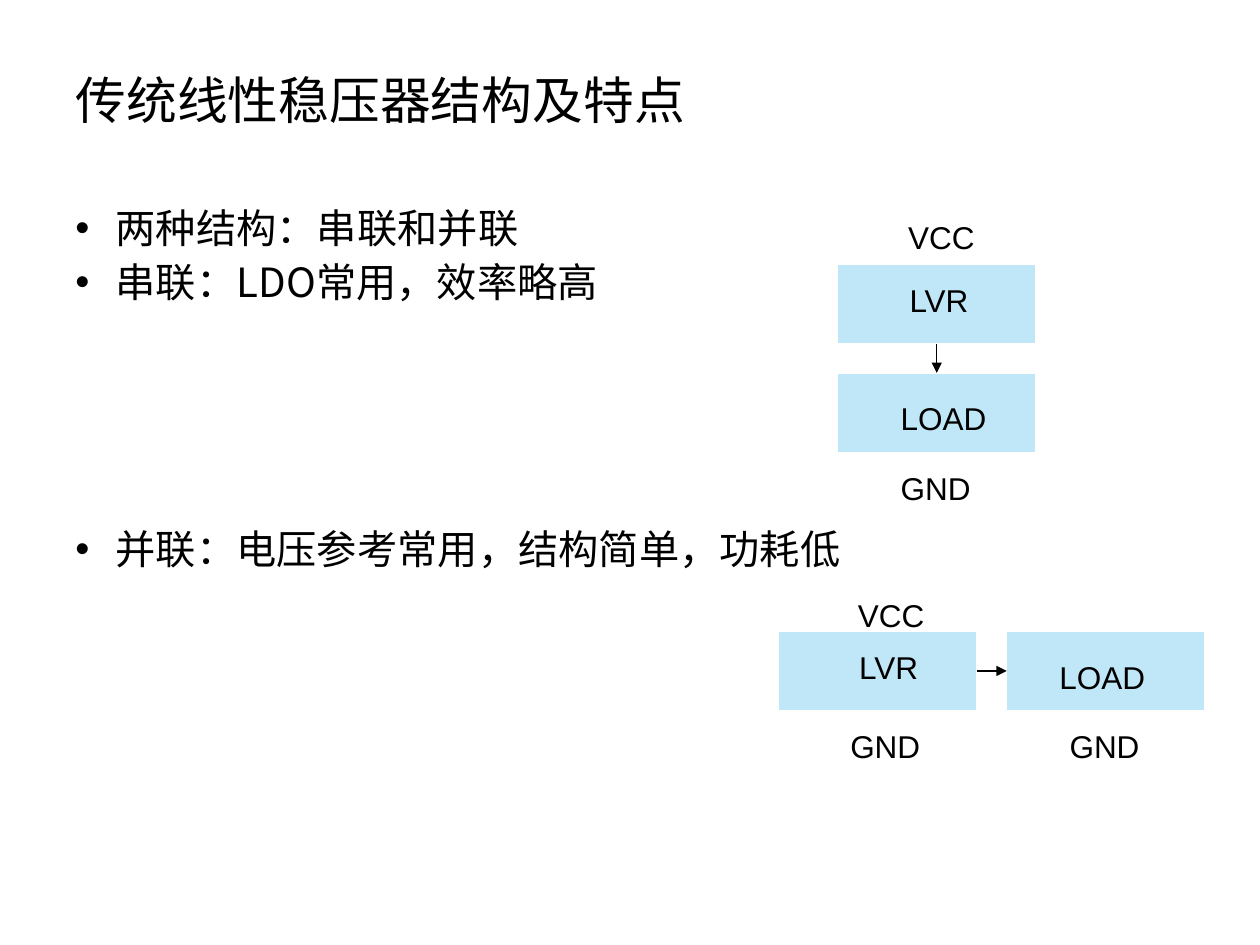
from lxml import etree
from pptx import Presentation
from pptx import util as u
from pptx.dml.color import RGBColor
from pptx.enum import shapes, text
from pptx.oxml.ns import qn

BLACK = RGBColor(0x00, 0x00, 0x00)
WHITE = RGBColor(0xFF, 0xFF, 0xFF)
PALE_BLUE = RGBColor(0xBF, 0xE7, 0xF7)
CJK_FONT = "Noto Sans CJK SC"
BOTTOM, LEFT, RIGHT, TOP = 2, 1, 3, 0

# Bullet text and the space before it in points
BULLETS = [
    ("两种结构：串联和并联", 0),
    ("串联：LDO常用，效率略高", 5.8),
    ("并联：电压参考常用，结构简单，功耗低", 127.5),
]
# Label text with left and top in inches
LABELS = [
    ("VCC", 7.11, 1.68), ("LVR", 7.12, 2.18),
    ("LOAD", 7.05, 3.12), ("GND", 7.05, 3.67),
    ("VCC", 6.71, 4.68), ("LVR", 6.72, 5.09), ("GND", 6.65, 5.72),
    ("LOAD", 8.31, 5.17), ("GND", 8.39, 5.72),
]


def apply_format(target, values):
    for name, value in values.items():
        setattr(target, name, value)


def write_span(para, words, size, font):
    span = para.add_run()
    span.text = words
    apply_format(span.font, {"size": u.Pt(size), "name": font})
    span.font.color.rgb = BLACK
    if font == CJK_FONT:
        etree.SubElement(span.font._element, qn("a:ea"), typeface=font)


def add_title(page, words):
    title = page.shapes.title
    apply_format(title, {"left": u.Inches(0.5), "top": u.Inches(0.3),
                         "width": u.Inches(9), "height": u.Inches(1.03)})
    apply_format(title.text_frame, {"vertical_anchor": text.MSO_ANCHOR.MIDDLE,
                                    "word_wrap": True})
    para = title.text_frame.paragraphs[0]
    apply_format(para, {"alignment": text.PP_ALIGN.LEFT, "line_spacing": 0.9})
    write_span(para, words, 29, CJK_FONT)


def add_text_box(page, left, top, width, height):
    box = page.shapes.add_textbox(*map(u.Inches, (left, top, width, height)))
    box.text_frame.word_wrap = True
    return box


def add_bullets(page, items):
    frame = add_text_box(page, 0.5, 1.6, 9, 5.1).text_frame
    for index, (words, space) in enumerate(items):
        para = frame.add_paragraph() if index else frame.paragraphs[0]
        apply_format(para, {"line_spacing": u.Pt(25), "space_before": u.Pt(space)})
        props = para._p.get_or_add_pPr()
        props.set("marL", str(u.Inches(0.32)))
        props.set("indent", str(u.Inches(-0.32)))
        etree.SubElement(props, qn("a:buFont"), typeface="Arial")
        etree.SubElement(props, qn("a:buChar"), char="•")
        write_span(para, words, 23, CJK_FONT)


def add_block(page, left, top):
    block = page.shapes.add_shape(
        shapes.MSO_SHAPE.RECTANGLE,
        *map(u.Inches, (left, top, 1.57, 0.63)))
    block.shadow.inherit = False
    block.fill.solid()
    block.fill.fore_color.rgb = PALE_BLUE
    block.line.color.rgb = WHITE
    block.line.width = u.Pt(0.75)
    return block


def add_arrow(page, source, source_side, target, target_side):
    arrow = page.shapes.add_connector(shapes.MSO_CONNECTOR.STRAIGHT, 0, 0, 0, 0)
    arrow.begin_connect(source, source_side)
    arrow.end_connect(target, target_side)
    arrow.line.color.rgb = BLACK
    arrow.line.width = u.Pt(0.75)
    etree.SubElement(arrow.line._get_or_add_ln(), qn("a:tailEnd"), type="triangle")
    etree.SubElement(arrow._element.spPr, qn("a:effectLst"))


def add_label(page, words, left, top):
    box = add_text_box(page, left, top, 0.92, 0.4)
    write_span(box.text_frame.paragraphs[0], words, 18, "Arial")


def main():
    deck = Presentation()
    deck.slide_width, deck.slide_height = u.Inches(10), u.Inches(7.5)
    page = deck.slides.add_slide(deck.slide_layouts.get_by_name("Title Only"))

    add_title(page, "传统线性稳压器结构及特点")
    add_bullets(page, BULLETS)

    series_regulator = add_block(page, 6.65, 2.1)
    series_load = add_block(page, 6.65, 2.96)
    shunt_regulator = add_block(page, 6.18, 5.01)
    shunt_load = add_block(page, 7.99, 5.01)
    add_arrow(page, series_regulator, BOTTOM, series_load, TOP)
    add_arrow(page, shunt_regulator, RIGHT, shunt_load, LEFT)

    for words, left, top in LABELS:
        add_label(page, words, left, top)
    deck.save("out.pptx")


if __name__ == "__main__":
    main()
